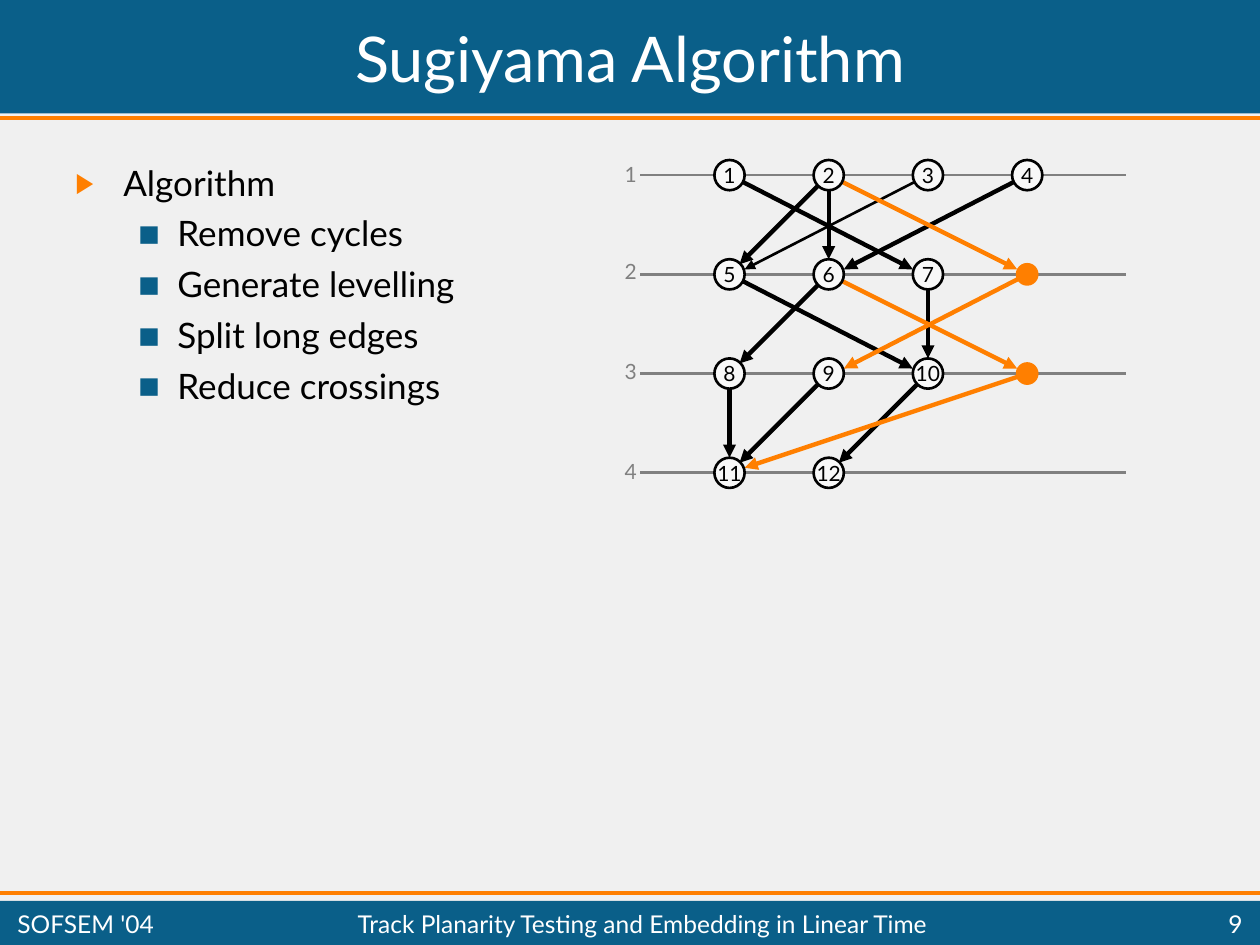
"""Build the Sugiyama algorithm slide with its four-level graph."""
from dataclasses import dataclass
from lxml.etree import SubElement as Sub
from pptx import Presentation
from pptx.dml.color import RGBColor as RGB
from pptx.enum.shapes import MSO_CONNECTOR as Link, MSO_SHAPE as Shape
from pptx.enum.text import MSO_ANCHOR as Anchor, PP_ALIGN as Align
from pptx.oxml.ns import qn
from pptx.util import Inches, Pt


@dataclass
class Theme:
    font: str = "Lato"
    back: RGB = RGB(0xF0, 0xF0, 0xF0)
    blue: RGB = RGB(0x0A, 0x5F, 0x89)
    orange: RGB = RGB(0xFF, 0x7F, 0x00)
    black: RGB = RGB(0, 0, 0)
    gray: RGB = RGB(0x80, 0x80, 0x80)
    white: RGB = RGB(0xFF, 0xFF, 0xFF)
    node: RGB = RGB(0xF8, 0xF8, 0xF8)
    title: Pt = Pt(36)
    body: Pt = Pt(20)
    foot: Pt = Pt(14)
    label: Pt = Pt(12)


def write(para, text, size, color, align=Align.LEFT):
    para.alignment = align
    run = para.add_run()
    run.text = text
    run.font.name, run.font.size = theme.font, size
    run.font.color.rgb = color


def draw(x1, y1, x2, y2, color, width, arrow=False):
    line = slide.shapes.add_connector(
        Link.STRAIGHT, Inches(x1), Inches(y1), Inches(x2), Inches(y2))
    line.line.color.rgb, line.line.width = color, Pt(width)
    props = line._element.spPr
    if arrow:
        Sub(props.find(qn("a:ln")), qn("a:tailEnd"), type="triangle")
    Sub(props, qn("a:effectLst"))


theme = Theme()
deck = Presentation()
deck.slide_width, deck.slide_height = Inches(10), Inches(7.5)
slide = deck.slides.add_slide(deck.slide_layouts[6])
slide.background.fill.solid()
slide.background.fill.fore_color.rgb = theme.back

for top, height, rule in [(0, 0.9, 0.94), (7.15, 0.35, 7.09)]:
    band = slide.shapes.add_shape(
        Shape.RECTANGLE, 0, Inches(top), Inches(10), Inches(height))
    band.shadow.inherit = False
    band.fill.solid()
    band.fill.fore_color.rgb = theme.blue
    band.line.fill.background()
    draw(0, rule, 10, rule, theme.orange, 2.25)

for text, left, top, width, height, size, align in [
    ("Sugiyama Algorithm", 0.04, 0.04, 9.92, 0.83, theme.title, Align.CENTER),
    ("SOFSEM '04", 0.04, 7.19, 1.44, 0.28, theme.foot, Align.LEFT),
    ("Track Planarity Testing and Embedding in Linear Time",
     1.5, 7.19, 7.2, 0.28, theme.foot, Align.CENTER),
    ("9", 8.78, 7.19, 1.18, 0.28, theme.foot, Align.RIGHT),
]:
    box = slide.shapes.add_textbox(
        Inches(left), Inches(top), Inches(width), Inches(height))
    box.text_frame.word_wrap = True
    box.text_frame.vertical_anchor = Anchor.MIDDLE
    write(box.text_frame.paragraphs[0], text, size, theme.white, align)

body = slide.shapes.add_textbox(
    Inches(0.5), Inches(1.23), Inches(4.42), Inches(5.67)).text_frame
body.word_wrap = True
steps = ["Algorithm", "Remove cycles", "Generate levelling",
         "Split long edges", "Reduce crossings"]
for i, step in enumerate(steps):
    para = body.add_paragraph() if i else body.paragraphs[0]
    left, hang, mark, tint, scale = (
        (0.81, 0.31, "■", theme.blue, "65000") if i
        else (0.38, 0.38, "▶", theme.orange, "80000"))
    props = para._p.get_or_add_pPr()
    props.set("marL", str(Inches(left)))
    props.set("indent", str(-Inches(hang)))
    props.set("lvl", str(min(i, 1)))
    Sub(Sub(props, qn("a:buClr")), qn("a:srgbClr"), val=str(tint))
    Sub(props, qn("a:buSzPct"), val=scale)
    Sub(props, qn("a:buFont"), typeface=theme.font)
    Sub(props, qn("a:buChar"), char=mark)
    para.space_before = Pt(5 if i else 0)
    write(para, step, theme.body, theme.black)

levels = [["1", "2", "3", "4"], ["5", "6", "7", "a"],
          ["8", "9", "10", "b"], ["11", "12"]]
dummies = ["a", "b"]
gap = 0.7875
rows = [1.39 + gap * i for i in range(4)]
cells = {name: (col, row) for row, names in enumerate(levels)
         for col, name in enumerate(names)}
spots = {name: (5.79 + gap * col, rows[row])
         for name, (col, row) in cells.items()}

for i, (y, top) in enumerate(zip(rows, [1.23, 2, 2.8, 3.59]), 1):
    draw(5.08, y, 8.94, y, theme.gray, 1.5)
    box = slide.shapes.add_textbox(
        Inches(4.86), Inches(top), Inches(0.29), Inches(0.3))
    box.text_frame.word_wrap = False
    write(box.text_frame.paragraphs[0], str(i), theme.label, theme.gray)

edges = [("9", "11"), ("8", "11"), ("10", "12"), ("b", "11"), ("3", "5"),
         ("1", "7"), ("7", "10"), ("5", "10"), ("4", "6"), ("2", "6"),
         ("6", "8"), ("2", "5"), ("6", "b"), ("2", "a"), ("a", "9")]
for start, end in edges:
    span = max(-2, min(2, cells[start][0] - cells[end][0]))
    reach = {0: 0, 1: 0.08, 2: 0.12, -2: -0.12}[span]
    if end in dummies:
        reach = -0.08
    x, y = spots[end]
    color = theme.orange if {start, end} & set(dummies) else theme.black
    width = 1.5 if (start, end) == ("3", "5") else 2.5
    draw(*spots[start], x + reach, y - 0.12 + 0.04 * abs(span),
         color, width, arrow=True)

for name, (x, y) in spots.items():
    dummy = name in dummies
    size = 0.16 if dummy else 0.24
    node = slide.shapes.add_shape(
        Shape.OVAL, Inches(x - size / 2), Inches(y - size / 2),
        Inches(size), Inches(size))
    node.shadow.inherit = False
    node.fill.solid()
    node.fill.fore_color.rgb = theme.orange if dummy else theme.node
    node.line.color.rgb = theme.orange if dummy else theme.black
    node.line.width = Pt(1.5)
    if not dummy:
        node.text_frame.word_wrap = False
        node.text_frame.vertical_anchor = Anchor.MIDDLE
        write(node.text_frame.paragraphs[0], name, theme.label,
              theme.black, Align.CENTER)

deck.save("out.pptx")
